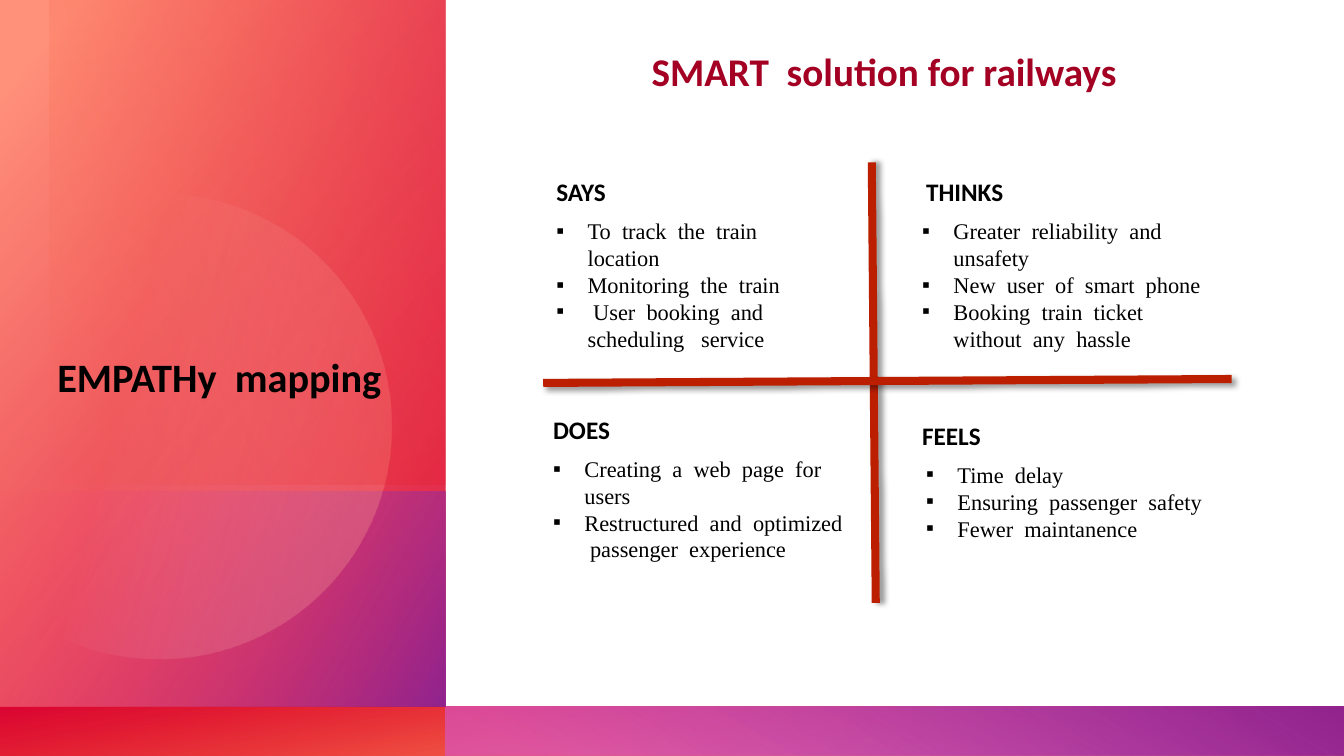
from dataclasses import dataclass
from math import acos, cos, sin

from pptx import Presentation
from pptx.dml.color import RGBColor
from pptx.enum.shapes import MSO_CONNECTOR, MSO_SHAPE
from pptx.enum.text import MSO_ANCHOR, PP_ALIGN
from pptx.oxml import parse_xml
from pptx.oxml.ns import nsdecls, qn
from pptx.util import Cm, Pt


@dataclass(frozen=True)
class Theme:
    """Colours, fonts and type sizes of the slide."""
    ink: str = "000000"
    headline: str = "A30023"
    axis: str = "BC1F00"
    orange: str = "FE4A00"
    red: str = "DA002F"
    salmon: str = "FF907A"
    rose: str = "FF4F74"
    orchid: str = "D85FD4"
    purple: str = "92248E"
    white: str = "FFFFFF"
    heading_font: str = "Calibri"
    body_font: str = "Times New Roman"
    title_size: float = 28.8
    headline_size: float = 28
    heading_size: float = 18
    body_size: float = 16
    axis_width: float = 5.75


@dataclass(frozen=True)
class Box:
    """A rectangle in centimetres."""
    left: float
    top: float
    width: float
    height: float

    def lengths(self):
        """Return the four lengths for python-pptx."""
        return Cm(self.left), Cm(self.top), Cm(self.width), Cm(self.height)


THEME = Theme()


def fill_gradient(shape, stops, angle):
    """Fill a shape with (position, colour, opacity) stops, in percent."""
    shape.shadow.inherit = False
    shape.line.fill.background()
    shape.fill.gradient()
    marks = "".join(
        f'<a:gs pos="{position * 1000}"><a:srgbClr val="{colour}">'
        f'<a:alpha val="{opacity * 1000}"/></a:srgbClr></a:gs>'
        for position, colour, opacity in stops)
    gradient = parse_xml(
        f'<a:gradFill {nsdecls("a")} rotWithShape="1"><a:gsLst>{marks}</a:gsLst>'
        f'<a:lin ang="{angle * 60000}" scaled="0"/></a:gradFill>')
    properties = shape._element.spPr
    properties.replace(properties.find(qn("a:gradFill")), gradient)


def add_panel(slide, box, stops, angle):
    """Add a rectangle with a gradient."""
    panel = slide.shapes.add_shape(MSO_SHAPE.RECTANGLE, *box.lengths())
    fill_gradient(panel, stops, angle)


def add_bullet(para):
    """Give a paragraph a square bullet and a hanging indent."""
    properties = para._p.get_or_add_pPr()
    properties.set("marL", str(Cm(0.79)))
    properties.set("indent", str(Cm(-0.79)))
    properties.append(parse_xml(f'<a:buFont {nsdecls("a")} typeface="Arial"/>'))
    properties.append(parse_xml(f'<a:buChar {nsdecls("a")} char="▪"/>'))


def add_text(slide, box, *lines, size, font=THEME.heading_font, colour=THEME.ink,
             bold=False, align=PP_ALIGN.LEFT, anchor=MSO_ANCHOR.TOP,
             bulleted=False, margin=None):
    """Add a wrapped text box with one paragraph per line."""
    frame = slide.shapes.add_textbox(*box.lengths()).text_frame
    frame.word_wrap = True
    frame.vertical_anchor = anchor
    if margin is not None:
        frame.margin_left = frame.margin_right = Cm(margin)
        frame.margin_top = frame.margin_bottom = Cm(margin)
    for index, line in enumerate(lines):
        para = frame.add_paragraph() if index else frame.paragraphs[0]
        para.alignment = align
        if bulleted:
            add_bullet(para)
        span = para.add_run()
        span.text = line
        span.font.name = font
        span.font.size = Pt(size)
        span.font.bold = bold
        span.font.color.rgb = RGBColor.from_string(colour)


def add_footer(slide, box, split):
    """Lay the red strip and, right of the split, the purple strip in two coats."""
    right = Box(box.left + split, box.top, box.width - split, box.height)
    for coat in range(2):
        add_panel(slide, box, [(0, THEME.orange, 28), (14, THEME.orange, 28),
                               (100, THEME.red, 85)], 260)
        add_panel(slide, right, [(0, THEME.orchid, 55), (9, THEME.orchid, 55),
                                 (99, THEME.purple, 100), (100, THEME.purple, 100)], 300)


def add_disc(slide, box, centre_x, centre_y, radius):
    """Add a pale disc cut off at the left edge of the box."""
    reach = acos(-centre_x / radius)
    steps = 96
    angles = [reach * (2 * step / steps - 1) for step in range(steps + 1)]
    points = [(Cm(box.left + centre_x + radius * cos(angle)),
               Cm(box.top + centre_y + radius * sin(angle))) for angle in angles]
    builder = slide.shapes.build_freeform(*points[0])
    builder.add_line_segments(points[1:], close=True)
    fill_gradient(builder.convert_to_shape(),
                  [(0, THEME.white, 0), (34, THEME.white, 0), (100, THEME.salmon, 35)], 14)


def add_sidebar(slide, box, title):
    """Draw the coloured side panel and its title."""
    add_panel(slide, box, [(0, THEME.salmon, 100), (8, THEME.salmon, 100),
                           (100, THEME.red, 89)], 40)
    lower = Box(box.left, box.top + 12.38, box.width, box.height - 12.38)
    add_panel(slide, lower, [(0, THEME.rose, 0), (99, THEME.purple, 100),
                             (100, THEME.purple, 100)], 30)
    add_disc(slide, box, 4.01, 10.74, 5.86)
    glow = Box(box.left + 1.26, box.top, box.width - 1.26, 12.22)
    add_panel(slide, glow, [(0, THEME.red, 29), (100, THEME.orange, 0)], 160)
    add_text(slide, Box(box.left + 0.36, box.top + 7.14, 10.34, 2.95), title,
             size=THEME.title_size, bold=True, align=PP_ALIGN.CENTER,
             anchor=MSO_ANCHOR.BOTTOM, margin=0)


def add_axis(slide, start, end, shadow_angle):
    """Add a thick line with a soft shadow."""
    axis = slide.shapes.add_connector(
        MSO_CONNECTOR.STRAIGHT, *(Cm(length) for length in start + end))
    axis.line.color.rgb = RGBColor.from_string(THEME.axis)
    axis.line.width = Pt(THEME.axis_width)
    axis._element.spPr.append(parse_xml(
        f'<a:effectLst {nsdecls("a")}><a:outerShdw blurRad="{Pt(4)}" dist="{Pt(3)}" '
        f'dir="{shadow_angle * 60000}"><a:srgbClr val="{THEME.ink}">'
        '<a:alpha val="40000"/></a:srgbClr></a:outerShdw></a:effectLst>'))


def add_quadrant(slide, box, heading, items, list_shift=0):
    """Add a heading with its bulleted list below."""
    add_text(slide, Box(box.left, box.top, 5.11, 1.04), heading,
             size=THEME.heading_size, bold=True)
    add_text(slide, Box(box.left + list_shift, box.top + 1.03, box.width, box.height - 1.03),
             *items, size=THEME.body_size, font=THEME.body_font, bulleted=True)


def add_map(slide, box):
    """Draw the headline, the crossed axes and the four quadrants."""
    left, top = box.left, box.top
    add_axis(slide, (left + 8.28, top), (left + 8.38, top + box.height), 0)
    add_axis(slide, (left, top + 5.56), (left + box.width, top + 5.46), 45)
    add_text(slide, Box(left - 1.22, top - 3.02, 19.61, 1.45), "SMART  solution for railways",
             size=THEME.headline_size, colour=THEME.headline, bold=True, align=PP_ALIGN.CENTER)
    add_quadrant(slide, Box(left + 0.08, top + 0.23, 7.39, 5.4), "SAYS",
                 ["To  track  the  train  location", "Monitoring  the  train",
                  " User  booking  and  scheduling   service"])
    add_quadrant(slide, Box(left + 9.4, top + 0.23, 7.59, 4.7), "THINKS",
                 ["Greater  reliability  and  unsafety", "New  user  of  smart  phone",
                  "Booking  train  ticket  without  any  hassle"], list_shift=-0.1)
    add_quadrant(slide, Box(left, top + 6.22, 7.9, 5.9), "DOES",
                 ["Creating  a  web  page  for  users",
                  "Restructured  and  optimized  passenger  experience"])
    add_quadrant(slide, Box(left + 9.3, top + 6.37, 8.33, 3.33), "FEELS",
                 ["Time  delay", "Ensuring  passenger  safety", "Fewer  maintanence"],
                 list_shift=0.1)


def main():
    """Build and save the deck."""
    deck = Presentation()
    deck.slide_width, deck.slide_height = Cm(33.87), Cm(19.05)
    slide = deck.slides.add_slide(deck.slide_layouts[6])
    add_footer(slide, Box(0, 17.81, 33.87, 1.24), 11.23)
    add_sidebar(slide, Box(0, 0, 11.23, 17.81), "EMPATHy  mapping")
    add_map(slide, Box(13.69, 4.09, 17.35, 11.1))
    deck.save("out.pptx")


if __name__ == "__main__":
    main()
